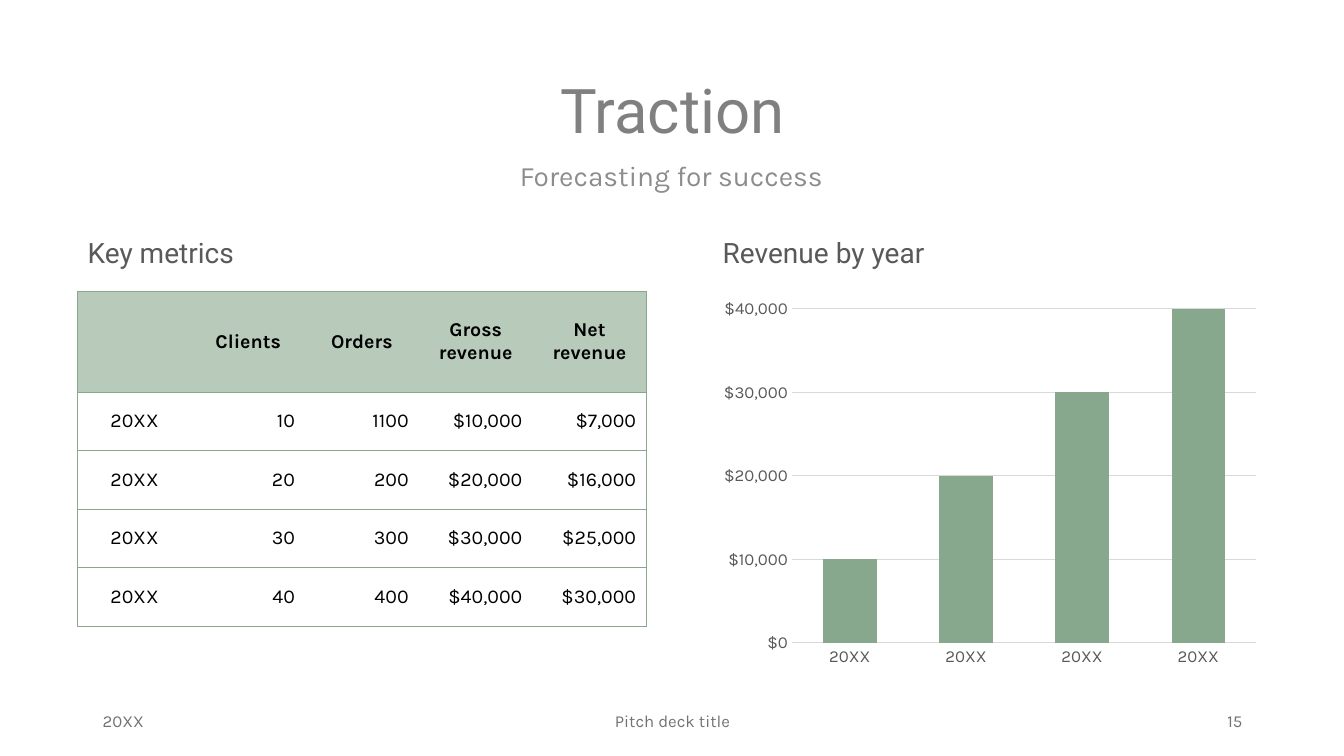
"""Build the Traction slide with a metrics table and a revenue chart."""
from dataclasses import dataclass

import pptx
import pptx.chart.data
import pptx.dml.color
import pptx.enum.chart
import pptx.enum.text
import pptx.oxml
import pptx.oxml.ns
import pptx.util
from pptx.util import Inches

RGBColor = pptx.dml.color.RGBColor
ALIGN = pptx.enum.text.PP_ALIGN
ANCHOR = pptx.enum.text.MSO_ANCHOR

GREEN = RGBColor(0x88, 0xA8, 0x8E)
PALE_GREEN = RGBColor(0xB8, 0xCB, 0xBB)
BLACK = RGBColor(0x00, 0x00, 0x00)
TITLE_GRAY = RGBColor(0x80, 0x80, 0x80)
SUBTITLE_GRAY = RGBColor(0x8C, 0x8C, 0x8C)
DARK_GRAY = RGBColor(0x59, 0x59, 0x59)
FOOTER_GRAY = RGBColor(0x76, 0x71, 0x71)
GRID_GRAY = RGBColor(0xD9, 0xD9, 0xD9)

METRICS = [
    ["", "Clients", "Orders", "Gross revenue", "Net revenue"],
    ["20XX", "10", "1100", "$10,000", "$7,000"],
    ["20XX", "20", "200", "$20,000", "$16,000"],
    ["20XX", "30", "300", "$30,000", "$25,000"],
    ["20XX", "40", "400", "$40,000", "$30,000"],
]
REVENUE = [10000, 20000, 30000, 40000]


@dataclass
class Label:
    text: str
    left: float
    top: float
    width: float
    height: float
    size: float
    color: RGBColor
    font: str = "Karla"
    align: ALIGN = ALIGN.LEFT
    anchor: ANCHOR = ANCHOR.MIDDLE
    spacing: float = 1.0


LABELS = [
    Label("Traction", 0.92, 0.4, 11.5, 1.45, 44, TITLE_GRAY, "Roboto", ALIGN.CENTER, spacing=0.9),
    Label("Forecasting for success", 0.91, 1.56, 11.5, 0.5, 20, SUBTITLE_GRAY,
          align=ALIGN.CENTER, anchor=ANCHOR.TOP, spacing=0.9),
    Label("Key metrics", 0.77, 2.27, 5.5, 0.5, 20, DARK_GRAY, "Roboto", spacing=0.9),
    Label("Revenue by year", 7.07, 2.27, 5.5, 0.5, 20, DARK_GRAY, "Roboto", spacing=0.9),
    Label("20XX", 0.92, 6.95, 3, 0.4, 12, FOOTER_GRAY),
    Label("Pitch deck title", 4.42, 6.95, 4.5, 0.4, 12, FOOTER_GRAY, align=ALIGN.CENTER),
    Label("15", 9.42, 6.95, 3, 0.4, 12, FOOTER_GRAY, align=ALIGN.RIGHT),
]


def set_font(font, size: float, color: RGBColor, name: str = "Karla", bold: bool = False) -> None:
    font.name = name
    font.size = pptx.util.Pt(size)
    font.bold = bold
    font.color.rgb = color


def write(tf, text: str, *, size: float, color: RGBColor, font: str = "Karla",
          bold: bool = False, align: ALIGN = ALIGN.LEFT, spacing: float = 1.0) -> None:
    p = tf.paragraphs[0]
    p.alignment = align
    p.line_spacing = spacing
    r = p.add_run()
    r.text = text
    set_font(r.font, size, color, font, bold)


def add_label(s, label: Label) -> None:
    sp = s.shapes.add_textbox(Inches(label.left), Inches(label.top),
                              Inches(label.width), Inches(label.height))
    tf = sp.text_frame
    tf.word_wrap = True
    tf.vertical_anchor = label.anchor
    write(tf, label.text, size=label.size, color=label.color, font=label.font,
          align=label.align, spacing=label.spacing)


def set_borders(cell, sides: str) -> None:
    tc_pr = cell._tc.get_or_add_tcPr()
    for side in "LRTB":
        paint = f'<a:solidFill><a:srgbClr val="{GREEN}"/></a:solidFill>' if side in sides else "<a:noFill/>"
        tc_pr.append(pptx.oxml.parse_xml(
            f'<a:ln{side} {pptx.oxml.ns.nsdecls("a")} w="6350">{paint}</a:ln{side}>'))


def add_metrics(s) -> None:
    last = len(METRICS[0]) - 1
    table = s.shapes.add_table(len(METRICS), last + 1, Inches(0.77), Inches(2.89),
                               Inches(5.64), Inches(3.31)).table
    for i, values in enumerate(METRICS):
        header = i == 0
        table.rows[i].height = Inches(1 if header else 0.58)
        for j, value in enumerate(values):
            cell = table.cell(i, j)
            set_borders(cell, "TB" + "L" * (j == 0) + "R" * (j == last))
            if header:
                cell.fill.solid()
                cell.fill.fore_color.rgb = PALE_GREEN
            else:
                cell.fill.background()
            cell.vertical_anchor = ANCHOR.MIDDLE
            if value:
                write(cell.text_frame, value, size=14, color=BLACK, bold=header,
                      align=ALIGN.CENTER if header or j == 0 else ALIGN.RIGHT)


def add_revenue(s) -> None:
    data = pptx.chart.data.CategoryChartData()
    data.categories = ["20XX"] * len(REVENUE)
    data.add_series("Series 1", REVENUE)
    chart = s.shapes.add_chart(pptx.enum.chart.XL_CHART_TYPE.COLUMN_CLUSTERED, Inches(7.07),
                               Inches(2.89), Inches(5.5), Inches(3.8), data).chart
    chart.has_legend = False
    chart.has_title = False
    set_font(chart.font, 10, BLACK)
    plot = chart.plots[0]
    plot.vary_by_categories = False
    plot.gap_width = 118
    plot.overlap = -3
    fill = plot.series[0].format.fill
    fill.solid()
    fill.fore_color.rgb = GREEN

    years, dollars = chart.category_axis, chart.value_axis
    for axis in (years, dollars):
        axis.major_tick_mark = axis.minor_tick_mark = pptx.enum.chart.XL_TICK_MARK.NONE
        set_font(axis.tick_labels.font, 12, DARK_GRAY)
    dollars.minimum_scale = 0
    dollars.maximum_scale = 40000
    dollars.major_unit = 10000
    dollars.tick_labels.number_format = "[$$-409]#,##0"
    dollars.tick_labels.number_format_is_linked = False
    dollars.format.line.fill.background()
    for line in (years.format.line, dollars.major_gridlines.format.line):
        line.color.rgb = GRID_GRAY
        line.width = pptx.util.Pt(0.75)


def main() -> None:
    prs = pptx.Presentation()
    prs.slide_width, prs.slide_height = Inches(13.33), Inches(7.5)
    s = prs.slides.add_slide(prs.slide_layouts[6])
    for label in LABELS:
        add_label(s, label)
    add_metrics(s)
    add_revenue(s)
    prs.save("out.pptx")


if __name__ == "__main__":
    main()
